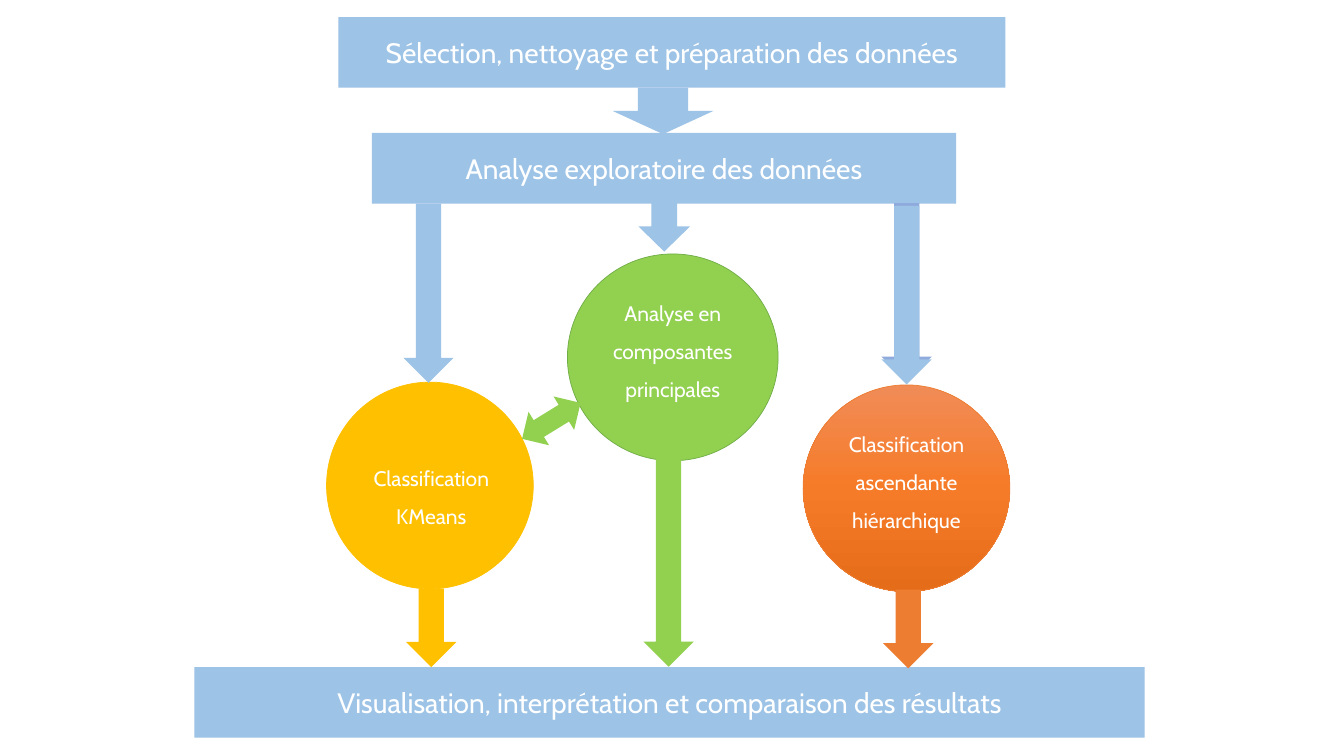
"""Build a slide showing the steps of a data analysis workflow."""
from copy import deepcopy
from dataclasses import dataclass

from pptx import Presentation
from pptx import util as u
from pptx.dml.color import RGBColor
from pptx.enum import shapes, text
from pptx.oxml.ns import qn

COLORS = {
    "blue": "9DC3E6",
    "shade": "8FAADC",
    "yellow": "FFC000",
    "green": "92D050",
    "green_edge": "70AD47",
    "orange": "ED7D31",
    "white": "FFFFFF",
}
ORANGE_GRADIENT = ("F18C57", "F67B28", "E56C19")
FONT = "Cabin"
BAND_HEIGHT = 1.78
METHOD_HEIGHT = 5.21
ARROW_BREADTH = 1.27


@dataclass
class Method:
    label: str
    left: float
    top: float
    width: float
    fill: str
    edge: str


@dataclass
class Band:
    label: str
    left: float
    top: float
    width: float


@dataclass
class DownArrow:
    center: float
    top: float
    length: float
    fill: str
    breadth: float = ARROW_BREADTH


KMEANS = Method("", 8.23, 9.63, 5.21, "yellow", "yellow")
COMPONENTS = Method("Analyse en composantes principales", 14.3, 6.4, 5.31, "green", "green_edge")
HIERARCHY = Method("Classification ascendante hiérarchique", 20.24, 9.7, 5.21, "orange", "orange")

BANDS = [
    Band("Sélection, nettoyage et préparation des données", 8.53, 0.43, 16.81),
    Band("Analyse exploratoire des données", 9.37, 3.35, 14.73),
    Band("Visualisation, interprétation et comparaison des résultats", 4.9, 16.81, 23.95),
]
ARROWS = [
    DownArrow(16.71, 2.21, 1.17, "blue", 2.54),
    DownArrow(22.85, 5.12, 4.5, "shade"),
    DownArrow(22.85, 5.19, 4.5, "blue"),
    DownArrow(16.74, 5.07, 1.27, "blue", 1.3),
    DownArrow(10.8, 5.13, 4.52, "blue"),
    DownArrow(16.85, 11.49, 5.31, "green"),
    DownArrow(10.87, 14.83, 1.98, "yellow"),
    DownArrow(22.89, 14.86, 1.98, "orange"),
]


def rgb(name: str) -> RGBColor:
    return RGBColor.from_string(COLORS[name])


def write(frame, *lines: str, size: int, spacing: float = 1.0, bottom: float = 0.13,
          anchor=text.MSO_ANCHOR.MIDDLE) -> None:
    frame.word_wrap = True
    frame.vertical_anchor = anchor
    frame.margin_bottom = u.Cm(bottom)
    for index, line in enumerate(lines):
        paragraph = frame.add_paragraph() if index else frame.paragraphs[0]
        paragraph.alignment = text.PP_ALIGN.CENTER
        paragraph.line_spacing = spacing
        run = paragraph.add_run()
        run.text = line
        run.font.name = FONT
        run.font.size = u.Pt(size)
        run.font.color.rgb = rgb("white")


def add_block(slide, kind, left: float, top: float, width: float, height: float,
              fill: str, edge: str = "", rotation: float = 0):
    block = slide.shapes.add_shape(kind, u.Cm(left), u.Cm(top), u.Cm(width), u.Cm(height))
    block.shadow.inherit = False
    block.rotation = rotation
    block.fill.solid()
    block.fill.fore_color.rgb = rgb(fill)
    if edge:
        block.line.color.rgb = rgb(edge)
        block.line.width = u.Pt(0.5)
    else:
        block.line.fill.background()
    return block


def add_method(slide, method: Method):
    circle = add_block(slide, shapes.MSO_SHAPE.OVAL, method.left, method.top,
                       method.width, METHOD_HEIGHT, method.fill, method.edge)
    if method.label:
        write(circle.text_frame, method.label, size=15, spacing=1.5, bottom=0.76)
    return circle


def add_band(slide, band: Band) -> None:
    bar = add_block(slide, shapes.MSO_SHAPE.RECTANGLE, band.left, band.top,
                    band.width, BAND_HEIGHT, "blue")
    write(bar.text_frame, band.label, size=20)


def add_down_arrow(slide, arrow: DownArrow) -> None:
    left = arrow.center - arrow.length / 2
    top = arrow.top + (arrow.length - arrow.breadth) / 2
    add_block(slide, shapes.MSO_SHAPE.LEFT_ARROW, left, top,
              arrow.length, arrow.breadth, arrow.fill, rotation=270)


def shade_downwards(shape, colors: tuple[str, ...]) -> None:
    shape.fill.gradient()
    shape.fill.gradient_angle = 270
    stops = shape._element.spPr.find(qn("a:gradFill")).find(qn("a:gsLst"))
    while len(stops) < len(colors):
        stops.append(deepcopy(stops[0]))
    for index, (stop, color) in enumerate(zip(shape.fill.gradient_stops, colors)):
        stop.position = index / (len(colors) - 1)
        stop.color.rgb = RGBColor.from_string(color)


def main() -> None:
    deck = Presentation()
    deck.slide_width, deck.slide_height = u.Cm(33.87), u.Cm(19.05)
    slide = deck.slides.add_slide(deck.slide_layouts[6])

    add_method(slide, KMEANS)
    add_method(slide, COMPONENTS)
    shade_downwards(add_method(slide, HIERARCHY), ORANGE_GRADIENT)
    for band in BANDS:
        add_band(slide, band)
    for arrow in ARROWS:
        add_down_arrow(slide, arrow)
    add_block(slide, shapes.MSO_SHAPE.LEFT_RIGHT_ARROW, 13.03, 10.11, 1.73, 0.99,
              "green", rotation=328.4)

    kmeans_label = slide.shapes.add_textbox(u.Cm(8.94), u.Cm(11.3), u.Cm(3.86), u.Cm(2.95))
    write(kmeans_label.text_frame, "Classification", "KMeans", size=15, spacing=1.5,
          anchor=text.MSO_ANCHOR.TOP)
    deck.save("out.pptx")


if __name__ == "__main__":
    main()
